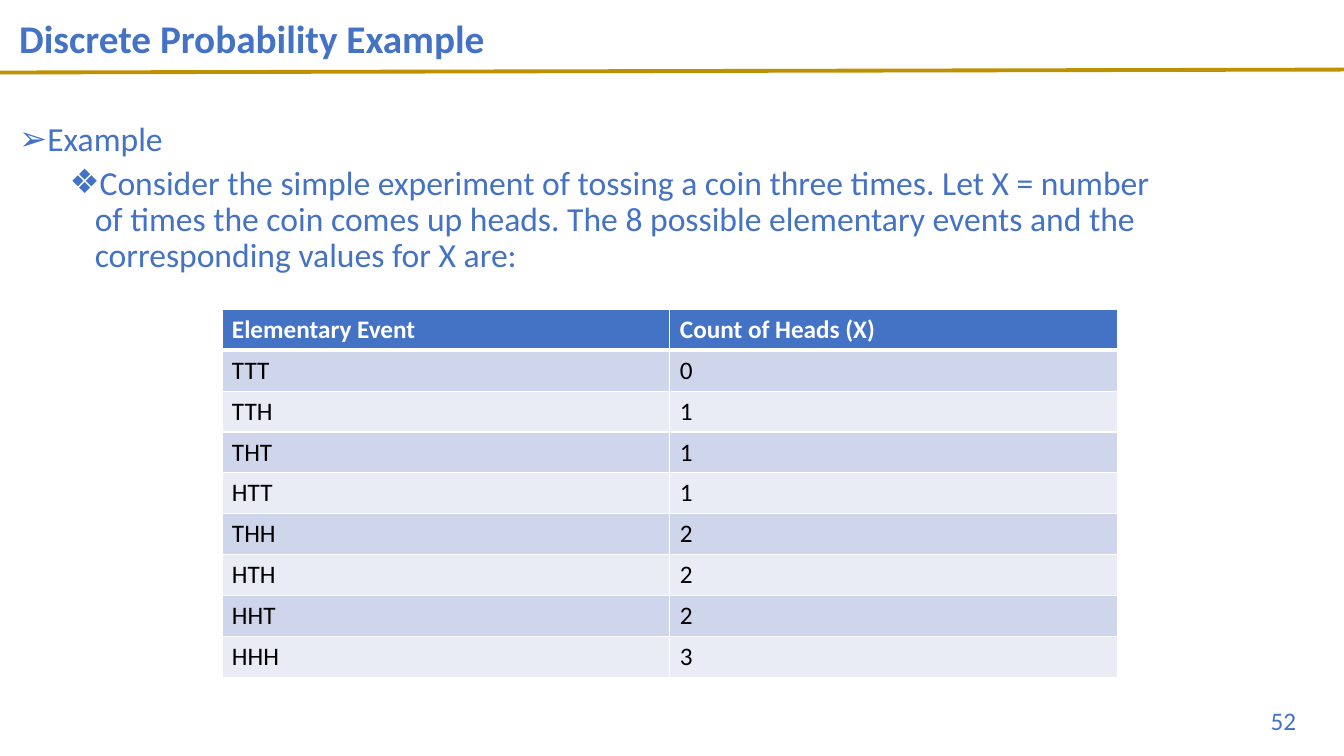
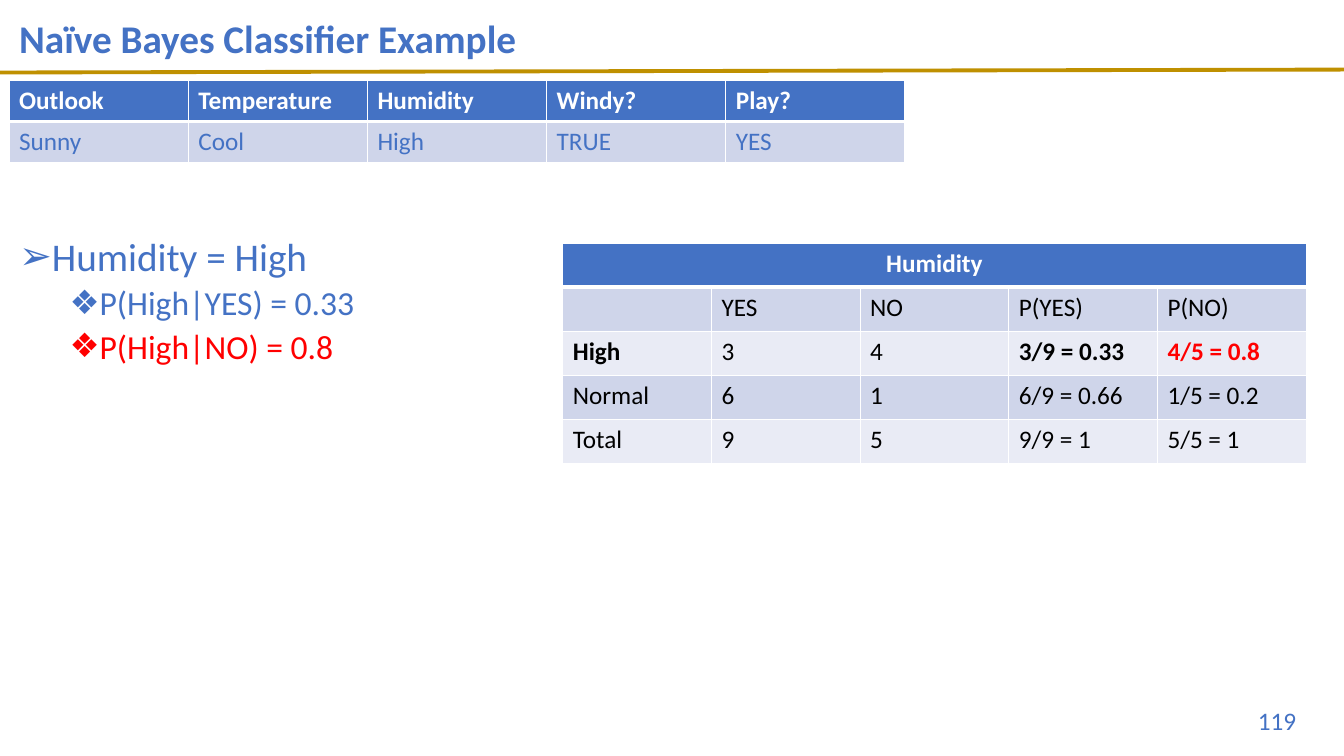
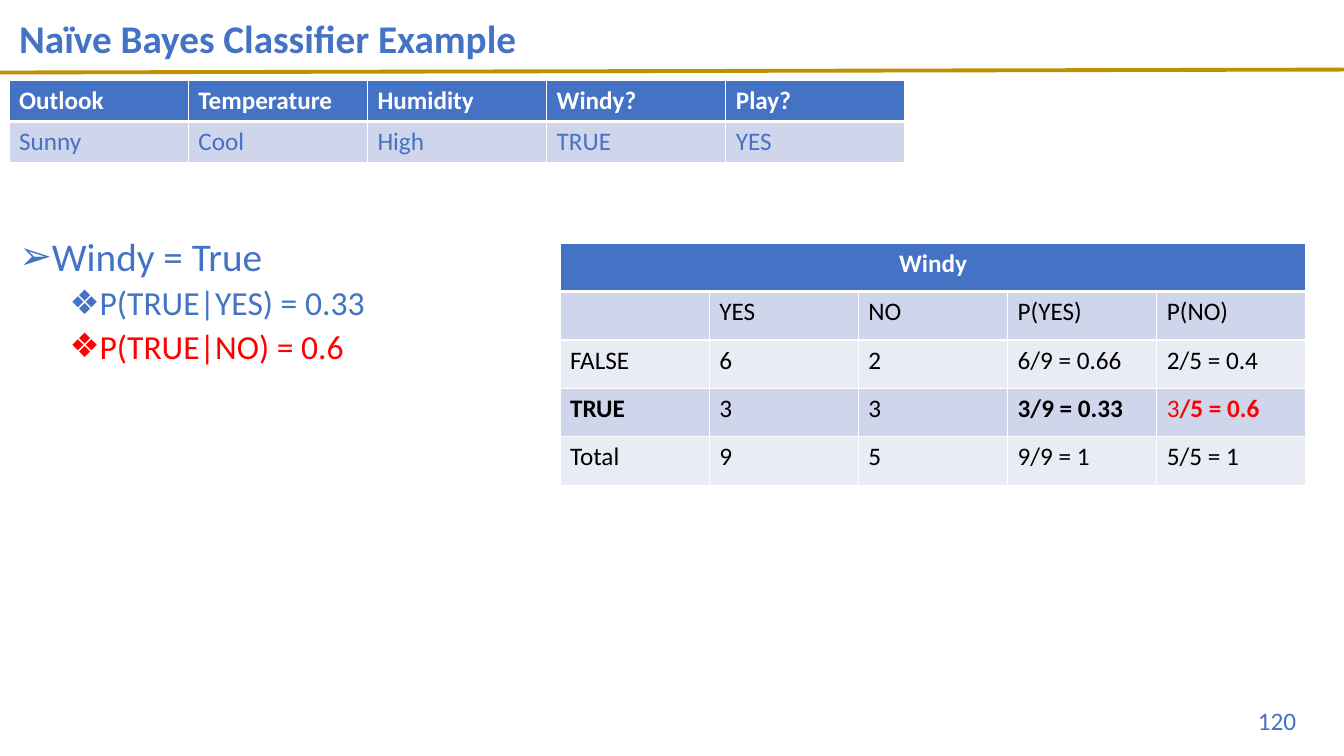
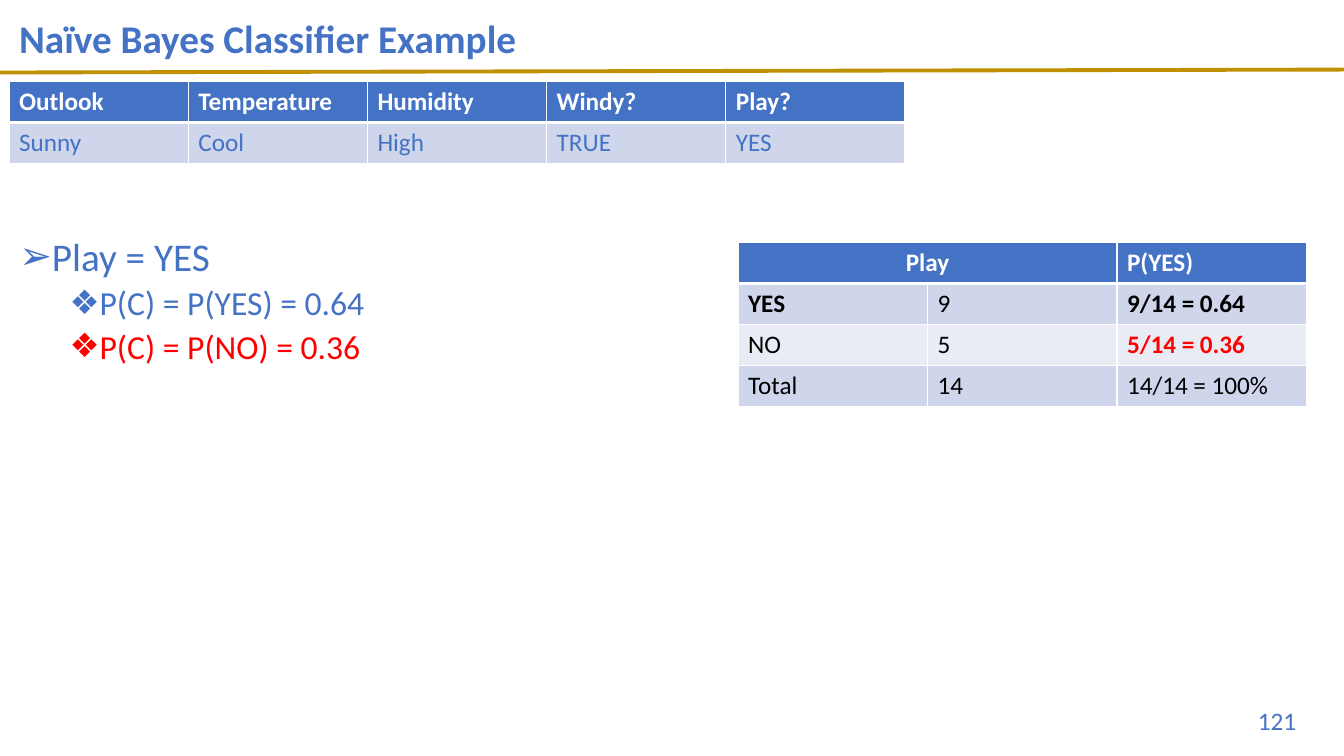
from collections import namedtuple
from dataclasses import dataclass

from lxml.etree import SubElement
from pptx import Presentation
from pptx.dml.color import RGBColor as RGB
from pptx.enum.shapes import MSO_CONNECTOR as Connector
from pptx.enum.text import MSO_ANCHOR as Anchor, MSO_AUTO_SIZE as AutoSize, PP_ALIGN as Align
from pptx.oxml.ns import qn
from pptx.util import Pt

Run = namedtuple("Run", "text bold color", defaults=(False, None))
Bullet = namedtuple("Bullet", "symbol margin space_before")


@dataclass(frozen=True)
class Theme:
    font: str = "Calibri"
    blue: str = "4472C4"
    gold: str = "BF9000"
    red: str = "FF0000"
    black: str = "000000"
    white: str = "FFFFFF"
    bands: tuple = ("CFD5EA", "E9EBF5")
    title_size: int = 28
    topic_size: int = 28
    detail_size: int = 24
    small_size: int = 18
    line_spacing: float = 0.9
    bullets: tuple = (Bullet("➢", 18, 10), Bullet("❖", 54, 5))
    hanging: int = 18


THEME = Theme()
WIDTH, HEIGHT = 960, 540
LEFT = 6.5
ROW = 29.2


def set_all(target, values):
    for name, value in values.items():
        setattr(target, name, value)


def place(shape, left, top, width, height):
    set_all(shape, {"left": Pt(left), "top": Pt(top), "width": Pt(width), "height": Pt(height)})


def add_run(paragraph, text, size, color, bold=False):
    run = paragraph.add_run()
    run.text = text
    set_all(run.font, {"name": THEME.font, "size": Pt(size), "bold": bold})
    run.font.color.rgb = RGB.from_string(color)


def add_border(cell, side, width):
    line = SubElement(cell._tc.get_or_add_tcPr(), qn(f"a:ln{side}"), w=str(Pt(width)))
    fill = SubElement(line, qn("a:solidFill"))
    SubElement(fill, qn("a:srgbClr"), val=THEME.white)


class Deck:
    def __init__(self):
        self.file = Presentation()
        set_all(self.file, {"slide_width": Pt(WIDTH), "slide_height": Pt(HEIGHT)})
        self.slide = None

    def new_slide(self, title, number):
        self.slide = self.file.slides.add_slide(self.file.slide_layouts[1])
        self.title_rule()
        self.title(title)
        self.page_number(number)

    def title_rule(self):
        rule = self.slide.shapes.add_connector(
            Connector.STRAIGHT, Pt(0), Pt(51.8), Pt(WIDTH), Pt(49.7))
        rule.line.color.rgb = RGB.from_string(THEME.gold)
        rule.line.width = Pt(2.75)
        SubElement(rule._element.spPr, qn("a:effectLst"))

    def title(self, text):
        heading = self.slide.shapes.title
        place(heading, LEFT, 0, 828, 57.6)
        set_all(heading.text_frame, {"vertical_anchor": Anchor.MIDDLE, "word_wrap": True,
                                     "auto_size": AutoSize.NONE})
        paragraph = heading.text_frame.paragraphs[0]
        set_all(paragraph, {"alignment": Align.LEFT, "line_spacing": THEME.line_spacing})
        add_run(paragraph, text, THEME.title_size, THEME.blue, True)

    def page_number(self, number):
        box = self.slide.shapes.add_textbox(Pt(717), Pt(500.4), Pt(216), Pt(28.8))
        box.text_frame.word_wrap = True
        paragraph = box.text_frame.paragraphs[0]
        paragraph.alignment = Align.RIGHT
        add_run(paragraph, str(number), THEME.small_size, THEME.blue)

    def outline(self, topic, details, top, width, height, topic_size=THEME.topic_size):
        """Fill the body placeholder with one topic and its details, given as runs."""
        body = self.slide.placeholders[1]
        place(body, LEFT, top, width, height)
        frame = body.text_frame
        set_all(frame, {"word_wrap": True, "auto_size": AutoSize.NONE,
                        "vertical_anchor": Anchor.TOP})
        for index, item in enumerate([Run(topic), *details]):
            level = min(index, 1)
            bullet = THEME.bullets[level]
            paragraph = frame.add_paragraph() if index else frame.paragraphs[0]
            set_all(paragraph, {"level": level, "alignment": Align.LEFT,
                                "line_spacing": THEME.line_spacing,
                                "space_before": Pt(bullet.space_before if index else 0)})
            properties = paragraph._p.get_or_add_pPr()
            properties.set("marL", str(Pt(bullet.margin)))
            properties.set("indent", str(-Pt(THEME.hanging)))
            SubElement(properties, qn("a:buChar"), char=bullet.symbol)
            add_run(paragraph, item.text, THEME.detail_size if level else topic_size,
                    item.color or THEME.blue)

    def table(self, rows, left, top, width, row_height=ROW, header_span=1, color=THEME.black):
        """Draw a banded table; a cell is plain text or a list of runs."""
        columns = len(rows[0])
        grid = self.slide.shapes.add_table(
            len(rows), columns, Pt(left), Pt(top), Pt(width), Pt(row_height * len(rows))).table
        grid.horz_banding = False
        for row_index, row in enumerate(rows):
            header = row_index == 0
            fill = THEME.blue if header else THEME.bands[(row_index - 1) % 2]
            for column, content in enumerate(row):
                cell = grid.cell(row_index, column)
                for side in "LRTB":
                    thick = (header and side == "B") or (row_index == 1 and side == "T")
                    add_border(cell, side, 3 if thick else 1)
                cell.fill.solid()
                cell.fill.fore_color.rgb = RGB.from_string(fill)
                paragraph = cell.text_frame.paragraphs[0]
                paragraph.font.size = Pt(THEME.small_size)
                for run in [Run(content)] if isinstance(content, str) else content:
                    if run.text:
                        add_run(paragraph, run.text, THEME.small_size,
                                THEME.white if header else run.color or color,
                                header or run.bold)
        if header_span > 1:
            grid.cell(0, 0).merge(grid.cell(0, header_span - 1))
            grid.cell(0, 0).text_frame.paragraphs[0].alignment = Align.CENTER

    def classifier_slide(self, number, topic, yes, no, body_width=400, query_top=57.6):
        self.new_slide("Naïve Bayes Classifier Example", number)
        self.outline(topic, [Run(yes), Run(no, color=THEME.red)], 166, body_width, 298)
        self.table([["Outlook", "Temperature", "Humidity", "Windy?", "Play?"],
                    ["Sunny", "Cool", "High", "TRUE", "YES"]],
                   LEFT, query_top, 640, color=THEME.blue)


def strong(text, color=None):
    return [Run(text, True, color)]


def frequency_rows(name, *counts):
    return [[name, "", "", "", ""], ["", "YES", "NO", "P(YES)", "P(NO)"], *counts,
            ["Total", "9", "5", "9/9 = 1", "5/5 = 1"]]


def main():
    deck = Deck()

    deck.new_slide("Discrete Probability Example", 52)
    deck.outline("Example", [Run(
        "Consider the simple experiment of tossing a coin three times. Let X = number of times "
        "the coin comes up heads. The 8 possible elementary events and the corresponding values "
        "for X are:")], 84.2, 828, 343, THEME.detail_size)
    events = ["TTT", "TTH", "THT", "HTT", "THH", "HTH", "HHT", "HHH"]
    deck.table([["Elementary Event", "Count of Heads (X)"],
                *([event, str(event.count("H"))] for event in events)], 158.5, 221, 640)

    deck.classifier_slide(119, "Humidity = High", "P(High|YES) = 0.33", "P(High|NO) = 0.8")
    deck.table(frequency_rows(
        "Humidity",
        [strong("High"), "3", "4", strong("3/9 = 0.33"), strong("4/5 = 0.8", THEME.red)],
        ["Normal", "6", "1", "6/9 = 0.66", "1/5 = 0.2"]),
        402, 173.7, 531, 31.5, header_span=5)

    deck.classifier_slide(120, "Windy = True", "P(TRUE|YES) = 0.33", "P(TRUE|NO) = 0.6")
    deck.table(frequency_rows(
        "Windy",
        ["FALSE", "6", "2", "6/9 = 0.66", "2/5 = 0.4"],
        [strong("TRUE"), "3", "3", strong("3/9 = 0.33"),
         [Run("3", color=THEME.red), *strong("/5 = 0.6", THEME.red)]]),
        400, 173.7, 533, 34.6, header_span=5)

    deck.classifier_slide(121, "Play = YES", "P(C) = P(YES) = 0.64", "P(C) = P(NO) = 0.36",
                          body_width=551, query_top=58.3)
    deck.table([["Play", "", "P(YES)"],
                [strong("YES"), "9", strong("9/14 = 0.64")],
                ["NO", "5", strong("5/14 = 0.36", THEME.red)],
                ["Total", "14", "14/14 = 100%"]], 527.2, 173.3, 406, header_span=2)

    deck.file.save("out.pptx")


if __name__ == "__main__":
    main()
